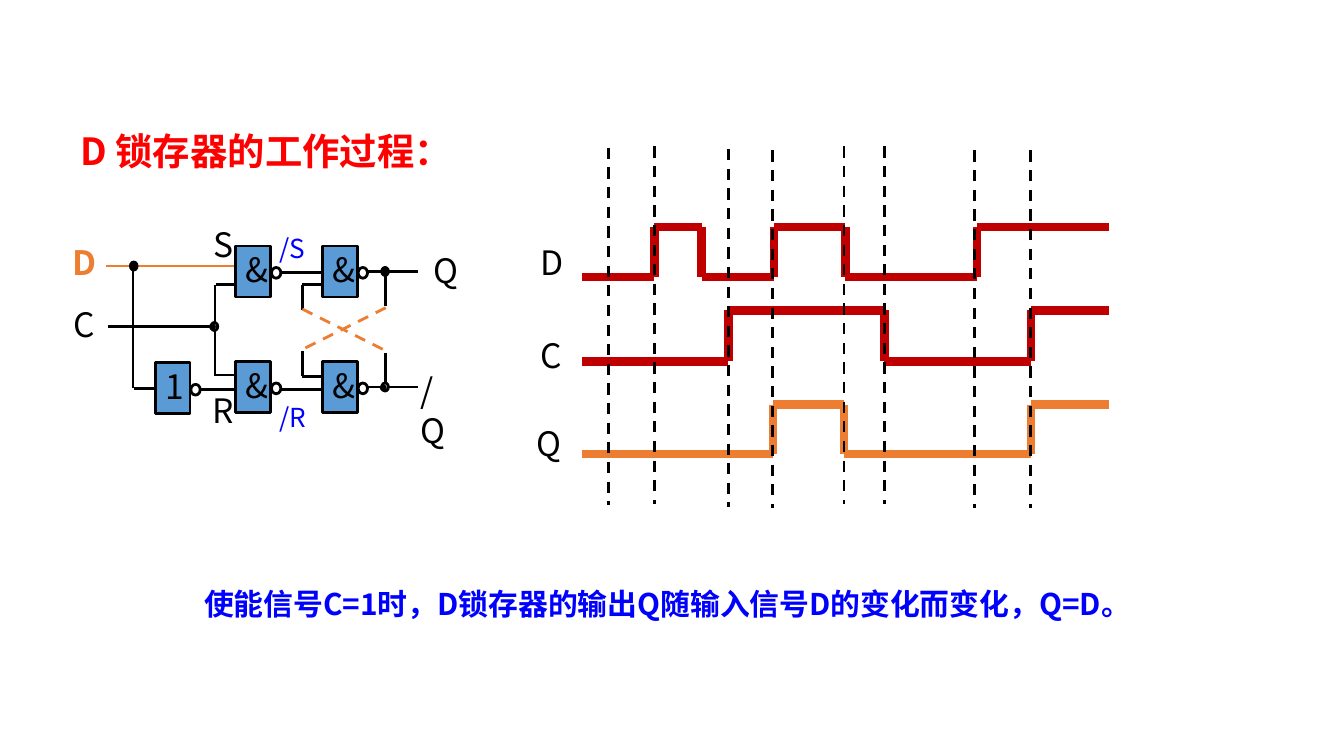
"""Draw a gated D latch, its timing diagram and a caption on one slide."""
from dataclasses import dataclass
from typing import NamedTuple, Optional

from lxml import etree
from pptx import Presentation
from pptx.dml.color import RGBColor
from pptx.enum.dml import MSO_LINE
from pptx.enum.shapes import MSO_CONNECTOR, MSO_SHAPE
from pptx.enum.text import MSO_AUTO_SIZE
from pptx.oxml.ns import qn
from pptx.util import Inches, Pt

LINE = MSO_CONNECTOR.STRAIGHT
RECT = MSO_SHAPE.RECTANGLE
OVAL = MSO_SHAPE.OVAL
DASH = MSO_LINE.DASH
GROW = MSO_AUTO_SIZE.SHAPE_TO_FIT_TEXT


@dataclass(frozen=True)
class Theme:
    """Colours, fonts and sizes of the slide."""
    ink: str = "000000"
    paper: str = "FFFFFF"
    gate: str = "5B9BD5"
    warm: str = "ED7D31"
    wave: str = "C00000"
    head: str = "FF0000"
    note: str = "0000FF"
    sans: str = "Noto Sans CJK SC"
    han: str = "Noto Sans CJK JP"
    plain: str = "Calibri"
    title: float = 20
    body: float = 18
    foot: float = 16
    small: float = 14
    dot: float = 8
    thin: float = 1.5
    thick: float = 4.5


class Wire(NamedTuple):
    """A line between two grid points."""
    x1: float
    y1: float
    x2: float
    y2: float
    tint: str = Theme.ink
    width: float = Theme.thin
    dash: bool = False


class Label(NamedTuple):
    """A text box on the grid."""
    text: str
    x: float
    y: float
    w: float
    h: float = 4
    size: float = Theme.body
    font: str = Theme.sans
    tint: str = Theme.ink
    bold: bool = False
    wrap: bool = True
    space: Optional[float] = None


class Gate(NamedTuple):
    """A logic gate with an inverting output."""
    sign: str
    x: float
    y: float


class Node(NamedTuple):
    """A junction dot on a wire."""
    x: float
    y: float
    fill: str


class Wave(NamedTuple):
    """A signal that starts low and flips at each edge."""
    low: float
    high: float
    edges: tuple
    tint: str


T = Theme()
COLS, ROWS = 100, 56.25
START, END = 43.3, 82.5

deck = Presentation()
deck.slide_width = Inches(10)
deck.slide_height = deck.slide_width * 9 // 16
page = deck.slides.add_slide(deck.slide_layouts[6])


def col(n: float) -> int:
    """Turn grid columns into a length."""
    return round(deck.slide_width * n / COLS)


def row(n: float) -> int:
    """Turn grid rows into a length."""
    return round(deck.slide_height * n / ROWS)


def draw_wire(wire: Wire) -> None:
    """Draw one straight line."""
    item = page.shapes.add_connector(
        LINE, col(wire.x1), row(wire.y1), col(wire.x2), row(wire.y2))
    item.line.color.rgb = RGBColor.from_string(wire.tint)
    item.line.width = Pt(wire.width)
    if wire.dash:
        item.line.dash_style = DASH
    etree.SubElement(item._element.spPr, qn("a:effectLst"))


def draw_shape(kind: int, x: float, y: float, w: float, h: float,
               fill: Optional[str] = None) -> None:
    """Draw an outlined shape, filled if a colour is given."""
    item = page.shapes.add_shape(kind, col(x), row(y), col(w), row(h))
    item.shadow.inherit = False
    item.line.color.rgb = RGBColor.from_string(T.ink)
    item.line.width = Pt(T.thin)
    if fill:
        item.fill.solid()
        item.fill.fore_color.rgb = RGBColor.from_string(fill)
    else:
        item.fill.background()


def draw_label(tag: Label) -> None:
    """Write one line of text in a box."""
    box = page.shapes.add_textbox(col(tag.x), row(tag.y), col(tag.w), row(tag.h))
    frame = box.text_frame
    frame.word_wrap = tag.wrap
    frame.auto_size = GROW
    para = frame.paragraphs[0]
    para.text = tag.text
    if tag.space:
        para.line_spacing = tag.space
    font = para.font
    font.name, font.size, font.bold = tag.font, Pt(tag.size), tag.bold
    font.color.rgb = RGBColor.from_string(tag.tint)


def draw_gate(gate: Gate) -> None:
    """Draw a gate body, its sign and its output bubble."""
    draw_shape(RECT, gate.x, gate.y, 2.6, 3.8, T.gate)
    draw_label(Label(gate.sign, gate.x - 0.25, gate.y - 0.25, 3.4))
    draw_shape(OVAL, gate.x + 2.65, gate.y + 1.6, 0.7, 0.8)


def draw_wave(wave: Wave) -> None:
    """Draw the levels and edges of a signal."""
    stops = (START, *wave.edges, END)
    level, other = wave.low, wave.high
    for left, right in zip(stops, stops[1:]):
        draw_wire(Wire(left, level, right, level, wave.tint, T.thick))
        if right != END:
            draw_wire(Wire(right, wave.low, right, wave.high, wave.tint, T.thick))
        level, other = other, level


WAVES = (
    Wave(20.6, 16.9, (48.7, 52.2, 57.6, 62.9, 72.7), T.wave),
    Wave(26.9, 23.1, (54.2, 65.8, 76.7), T.wave),
    Wave(33.8, 30.1, (57.5, 62.8, 76.7), T.warm),
)
WIRES = (
    Wire(20.8, 20.3, 24, 20.3), Wire(27.4, 20.2, 31.1, 20.2),
    Wire(22.5, 28, 24.1, 28), Wire(27.4, 28.8, 31.1, 28.8),
    Wire(20.8, 29, 24, 29), Wire(22.5, 21.2, 24.1, 21.2),
    Wire(28.7, 20.3, 28.7, 22.8), Wire(22.5, 26.1, 22.5, 28),
    Wire(28.7, 26.3, 28.7, 28.7), Wire(22.5, 21.2, 22.5, 23.1),
    Wire(22.5, 23, 28.7, 26.1, T.warm, dash=True),
    Wire(28.7, 22.9, 22.5, 26, T.warm, dash=True),
    Wire(16.1, 21.2, 17.6, 21.2), Wire(16.1, 27.9, 17.6, 27.9),
    Wire(16, 21.2, 16, 28), Wire(8, 24.3, 15.9, 24.3),
    Wire(7.9, 19.8, 17.6, 19.8, T.warm), Wire(14.9, 29, 17.6, 29),
    Wire(10, 28.9, 11.5, 28.9), Wire(9.9, 19.9, 9.9, 28.9),
)
GATES = (
    Gate("&", 24, 18.3), Gate("&", 24, 26.9), Gate("&", 17.55, 18.3),
    Gate("&", 17.55, 26.9), Gate("1", 11.55, 27),
)
NODES = (
    Node(28.4, 28.5, T.paper), Node(28.4, 19.9, T.ink),
    Node(15.7, 24, T.paper), Node(9.7, 19.5, T.ink),
)
TICKS = ((45.3, 11), (48.7, 10.9), (54.2, 11.1), (57.5, 11.2),
         (62.8, 10.9), (65.8, 10.9), (72.5, 11.2), (76.7, 11.2))
LABELS = (
    Label("D 锁存器的工作过程：", 5, 9.4, 57.5, 5.6, T.title, T.han, T.head,
          True, space=0.9),
    Label("D", 39.2, 17.5, 3.2, wrap=False),
    Label("C", 39.2, 24.4, 3.2, wrap=False),
    Label("Q", 38.9, 31, 3.2, wrap=False),
    Label("D", 4.4, 17.5, 2.6, tint=T.warm, bold=True),
    Label("C", 4.5, 22.1, 3.6),
    Label("Q", 31.3, 18.1, 2.6),
    Label("/Q", 30.3, 27, 4.7),
    Label("S", 14.9, 16.2, 2),
    Label("R", 14.8, 28.5, 2),
    Label("●", 27.2, 27.6, 3.1, 2.3, T.dot, T.plain, wrap=False),
    Label("●", 14.5, 23.1, 3.1, 2.3, T.dot, T.plain, wrap=False),
    Label("/S", 19.8, 16.8, 5.2, 3.4, T.small, T.han, T.note),
    Label("/R", 19.8, 29.4, 5.8, 3.4, T.small, T.han, T.note),
    Label("使能信号C=1时，D锁存器的输出Q随输入信号D的变化而变化，Q=D。",
          14.2, 43.1, 75.1, 3.7, T.foot, T.han, T.note, True),
)

for wave in WAVES:
    draw_wave(wave)
for wire in WIRES:
    draw_wire(wire)
for gate in GATES:
    draw_gate(gate)
for node in NODES:
    draw_shape(OVAL, node.x, node.y, 0.5, 0.6, node.fill)
for x, top in TICKS:
    draw_wire(Wire(x, top, x, top + 26.6, dash=True))
for tag in LABELS:
    draw_label(tag)

deck.save("out.pptx")
